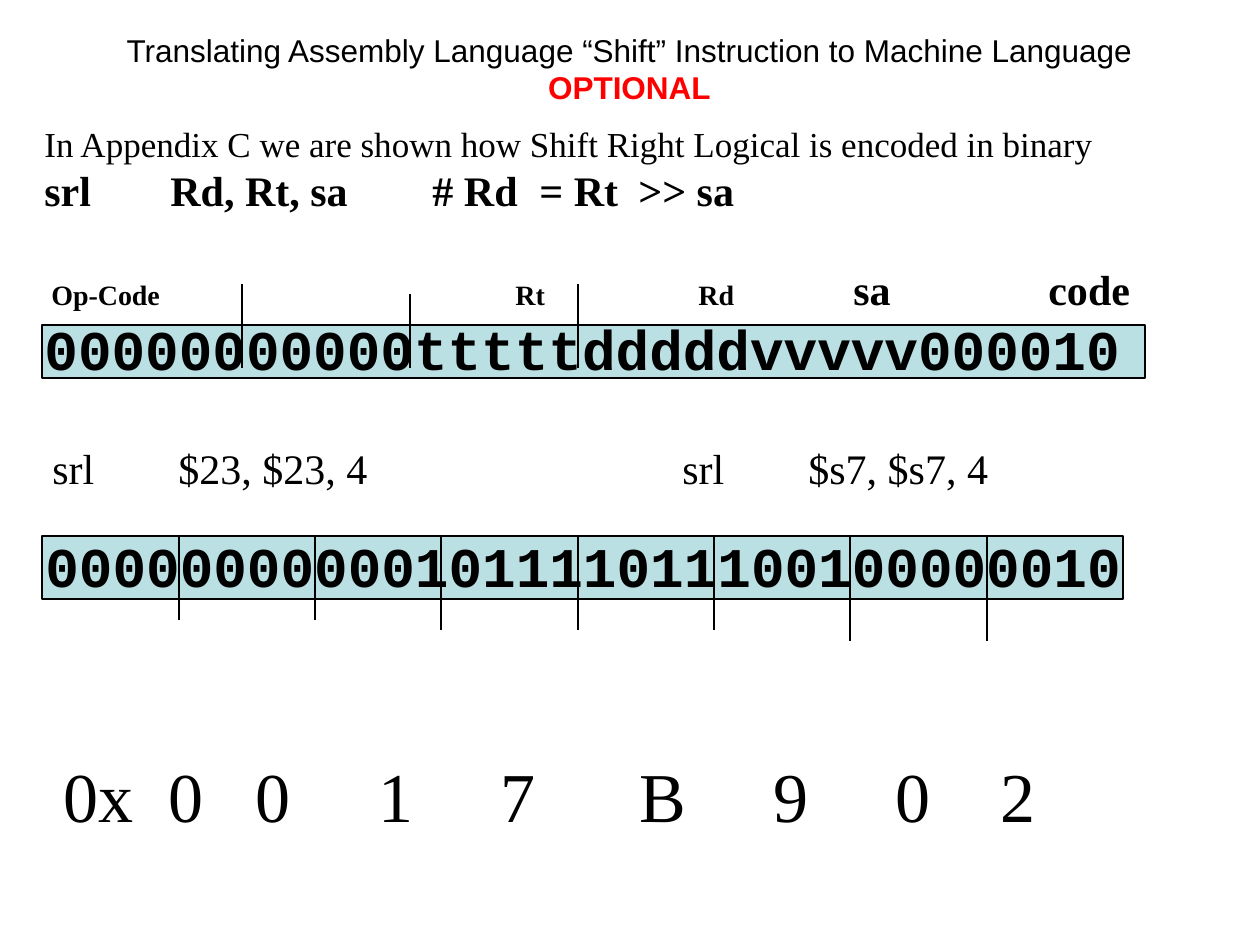
from lxml import etree
from pptx import Presentation, util as u
from pptx.dml.color import RGBColor
from pptx.enum import shapes, text
from pptx.oxml.ns import qn

COLORS = {"ink": "000000", "optional": "FF0000", "band": "BBE0E3"}
SERIF, SANS, MONO = "Times New Roman", "Arial", "Courier New"

TITLE = "Translating Assembly Language “Shift” Instruction to Machine Language"
TITLE_MARK = "OPTIONAL"

BANDS = [(42, 536, 1081, 63), (42, 325, 1103, 53)]

ENCODING = [
    dict(words=[("In Appendix C we are shown how Shift Right Logical is encoded in binary", 20)]),
    dict(words=[("srl\tRd, Rt, sa\t# Rd\t= Rt\t>> sa", 24)], bold=True,
         tabs=[126, 388, 495, 594]),
    dict(words=[("\tOp-Code\tRt\tRd\t", 16), ("sa\tcode", 24)], bold=True,
         tabs=[7, 471, 654, 809, 1004], before=28),
    dict(words=[("00000000000tttttdddddvvvvv000010", 32)], bold=True, face=MONO),
]
EXAMPLE = [dict(words=[("srl\t$23, $23, 4\tsrl\t$s7, $s7, 4", 24)],
                tabs=[126, 630, 756])]
EXAMPLE_BITS = [dict(words=[("00000000000101111011100100000010", 32)],
                     bold=True, face=MONO)]
EXAMPLE_HEX = [dict(words=[("0x\t0\t0\t1\t7\tB\t9\t0\t2", 40)],
                    tabs=[105, 192, 315, 437, 576, 710, 832, 937])]

TEXT_BLOCKS = [
    ((32, 116, 1166, 273), ENCODING),
    ((40, 436, 1000, 63), EXAMPLE),
    ((33, 525, 1120, 81), EXAMPLE_BITS),
    ((51, 746, 1020, 97), EXAMPLE_HEX),
]

FIELD_DIVIDERS = [(242, 284, 368), (410, 294, 368), (578, 284, 368)]
NIBBLE_TOP = 536
NIBBLE_DIVIDERS = [(179, 620), (315, 620), (441, 630), (578, 630),
                   (714, 630), (850, 641), (987, 641)]


def px(n):
    return u.Emu(round(n * 914400 / 126))


def color(name):
    return RGBColor.from_string(COLORS[name])


def set_font(font, face=None, size=None, bold=None, ink=None):
    if face:
        font.name = face
    if size:
        font.size = u.Pt(size)
    if bold is not None:
        font.bold = bold
    if ink:
        font.color.rgb = color(ink)


def add_frame(slide, box):
    frame = slide.shapes.add_textbox(*map(px, box)).text_frame
    frame.word_wrap = True
    return frame


def write(paragraph, words, tabs=(), before=0, bold=False, face=SERIF):
    if tabs:
        stops = etree.SubElement(paragraph._p.get_or_add_pPr(), qn("a:tabLst"))
        for stop in tabs:
            etree.SubElement(stops, qn("a:tab"), pos=str(px(stop)), algn="l")
    if before:
        paragraph.space_before = u.Pt(before)
    shared_size = words[0][1] if len(words) == 1 else None
    set_font(paragraph.font, face, shared_size, bold, "ink")
    for wording, size in words:
        run = paragraph.add_run()
        run.text = wording
        if not shared_size:
            set_font(run.font, size=size)


def add_divider(slide, x, top, bottom):
    divider = slide.shapes.add_connector(
        shapes.MSO_CONNECTOR.STRAIGHT, px(x), px(top), px(x), px(bottom))
    divider.line.color.rgb = color("ink")
    divider.line.width = u.Pt(0.75)
    etree.SubElement(divider._element.spPr, qn("a:effectLst"))


def main():
    deck = Presentation()
    deck.slide_width, deck.slide_height = px(1260), px(945)
    slide = deck.slides.add_slide(deck.slide_layouts[6])

    for box in BANDS:
        band = slide.shapes.add_shape(shapes.MSO_SHAPE.RECTANGLE, *map(px, box))
        band.shadow.inherit = False
        band.fill.solid()
        band.fill.fore_color.rgb = color("band")
        band.line.color.rgb = color("ink")
        band.line.width = u.Pt(0.75)

    title_frame = add_frame(slide, (94, 0, 1071, 137))
    title_frame.vertical_anchor = text.MSO_ANCHOR.MIDDLE
    title = title_frame.paragraphs[0]
    title.alignment = text.PP_ALIGN.CENTER
    set_font(title.font, SANS, 18, ink="ink")
    title.add_run().text = TITLE
    title.add_line_break()
    mark = title.add_run()
    mark.text = TITLE_MARK
    set_font(mark.font, SANS, 18, True, "optional")

    for box, lines in TEXT_BLOCKS:
        frame = add_frame(slide, box)
        for i, line in enumerate(lines):
            write(frame.add_paragraph() if i else frame.paragraphs[0], **line)

    for x, top, bottom in FIELD_DIVIDERS:
        add_divider(slide, x, top, bottom)
    for x, bottom in NIBBLE_DIVIDERS:
        add_divider(slide, x, NIBBLE_TOP, bottom)

    deck.save("out.pptx")


if __name__ == "__main__":
    main()
